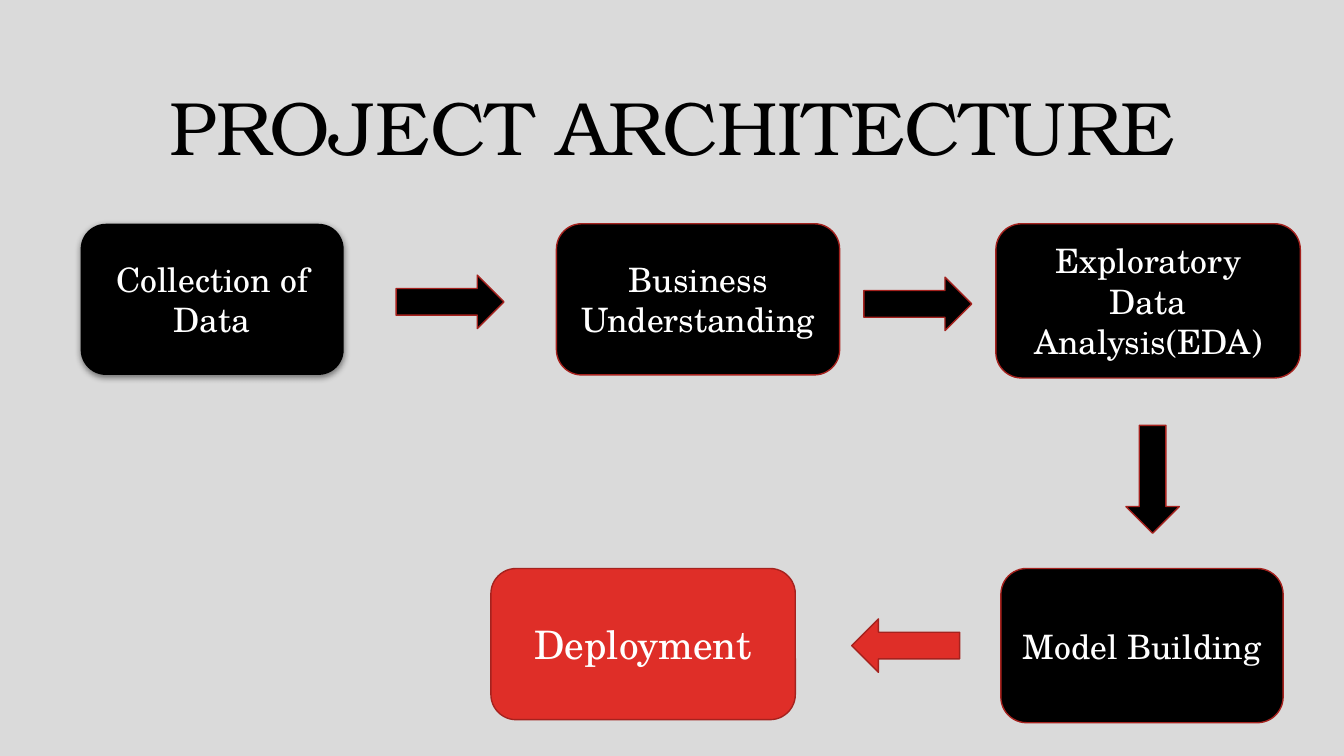
"""Build the project architecture flow slide."""
from dataclasses import dataclass

from lxml.etree import SubElement
from pptx import Presentation
from pptx.dml.color import RGBColor
from pptx.enum.shapes import MSO_SHAPE
from pptx.enum.text import MSO_ANCHOR, MSO_AUTO_SIZE, PP_ALIGN
from pptx.oxml.ns import qn
from pptx.util import Pt


@dataclass(frozen=True)
class Theme:
    background: str = "DADADA"
    ink: str = "000000"
    accent: str = "DF2E28"
    outline: str = "A5221E"
    label: str = "FFFFFF"
    title_font: str = "TeX Gyre Bonum"
    label_font: str = "TeX Gyre Schola"
    title_size: int = 54
    step_size: int = 24
    final_size: int = 28


THEME = Theme()
TITLE = "PROJECT ARCHITECTURE"
TITLE_BOX = (95.76, 53.28, 768.96, 72.72)
TOP_ROW, BOTTOM_ROW = 159.84, 406.08
FIRST_STEP = "Collection of Data"
FINAL_STEP = "Deployment"
STEPS = [
    (FIRST_STEP, 57.6, TOP_ROW, 187.92, 108),
    ("Business Understanding", 397.44, TOP_ROW, 202.32, 108),
    ("Exploratory Data Analysis(EDA)", 711.36, TOP_ROW, 217.44, 110.16),
    ("Model Building", 714.96, BOTTOM_ROW, 201.6, 110.16),
    (FINAL_STEP, 350.64, BOTTOM_ROW, 217.44, 108),
]
ARROW_LENGTH, ARROW_BREADTH = 77.04, 38.16
ARROWS = [
    (MSO_SHAPE.RIGHT_ARROW, 282.96, 196.56, THEME.ink),
    (MSO_SHAPE.RIGHT_ARROW, 617.04, 198, THEME.ink),
    (MSO_SHAPE.DOWN_ARROW, 804.24, 303.84, THEME.ink),
    (MSO_SHAPE.LEFT_ARROW, 608.4, 442.08, THEME.accent),
]


def format_text(paragraph, font_name, size, color):
    paragraph.alignment = PP_ALIGN.CENTER
    paragraph.font.name = font_name
    paragraph.font.size = Pt(size)
    paragraph.font.color.rgb = RGBColor.from_string(color)


def add_block(slide, kind, box, fill):
    block = slide.shapes.add_shape(kind, *map(Pt, box))
    block.shadow.inherit = False
    block.fill.solid()
    block.fill.fore_color.rgb = RGBColor.from_string(fill)
    block.line.color.rgb = RGBColor.from_string(THEME.outline)
    block.line.width = Pt(1)
    return block


def add_soft_shadow(block):
    effects = block.element.spPr.find(qn("a:effectLst"))
    shadow = SubElement(effects, qn("a:outerShdw"), blurRad=str(Pt(4.5)),
                        dist=str(Pt(1.5)), dir="5400000", rotWithShape="0")
    shade = SubElement(shadow, qn("a:srgbClr"), val=THEME.ink)
    SubElement(shade, qn("a:alpha"), val="48000")


def add_title(slide):
    title = slide.shapes.title
    title.left, title.top, title.width, title.height = map(Pt, TITLE_BOX)
    frame = title.text_frame
    frame.text = TITLE
    frame.word_wrap = False
    frame.auto_size = MSO_AUTO_SIZE.SHAPE_TO_FIT_TEXT
    frame.vertical_anchor = MSO_ANCHOR.TOP
    format_text(frame.paragraphs[0], THEME.title_font, THEME.title_size, THEME.ink)


def add_step(slide, label, *box):
    is_final = label == FINAL_STEP
    fill = THEME.accent if is_final else THEME.ink
    step = add_block(slide, MSO_SHAPE.ROUNDED_RECTANGLE, box, fill)
    if label == FIRST_STEP:
        step.line.fill.background()
        add_soft_shadow(step)
    frame = step.text_frame
    frame.text = label
    frame.word_wrap = True
    frame.vertical_anchor = MSO_ANCHOR.MIDDLE
    size = THEME.final_size if is_final else THEME.step_size
    format_text(frame.paragraphs[0], THEME.label_font, size, THEME.label)


def add_arrow(slide, kind, left, top, fill):
    extent = (ARROW_LENGTH, ARROW_BREADTH)
    if kind == MSO_SHAPE.DOWN_ARROW:
        extent = extent[::-1]
    add_block(slide, kind, (left, top, *extent), fill)


def main():
    deck = Presentation()
    deck.slide_width, deck.slide_height = Pt(960), Pt(540)
    slide = deck.slides.add_slide(deck.slide_layouts[5])
    slide.background.fill.solid()
    slide.background.fill.fore_color.rgb = RGBColor.from_string(THEME.background)
    add_title(slide)
    for step in STEPS:
        add_step(slide, *step)
    for arrow in ARROWS:
        add_arrow(slide, *arrow)
    deck.save("out.pptx")


if __name__ == "__main__":
    main()
